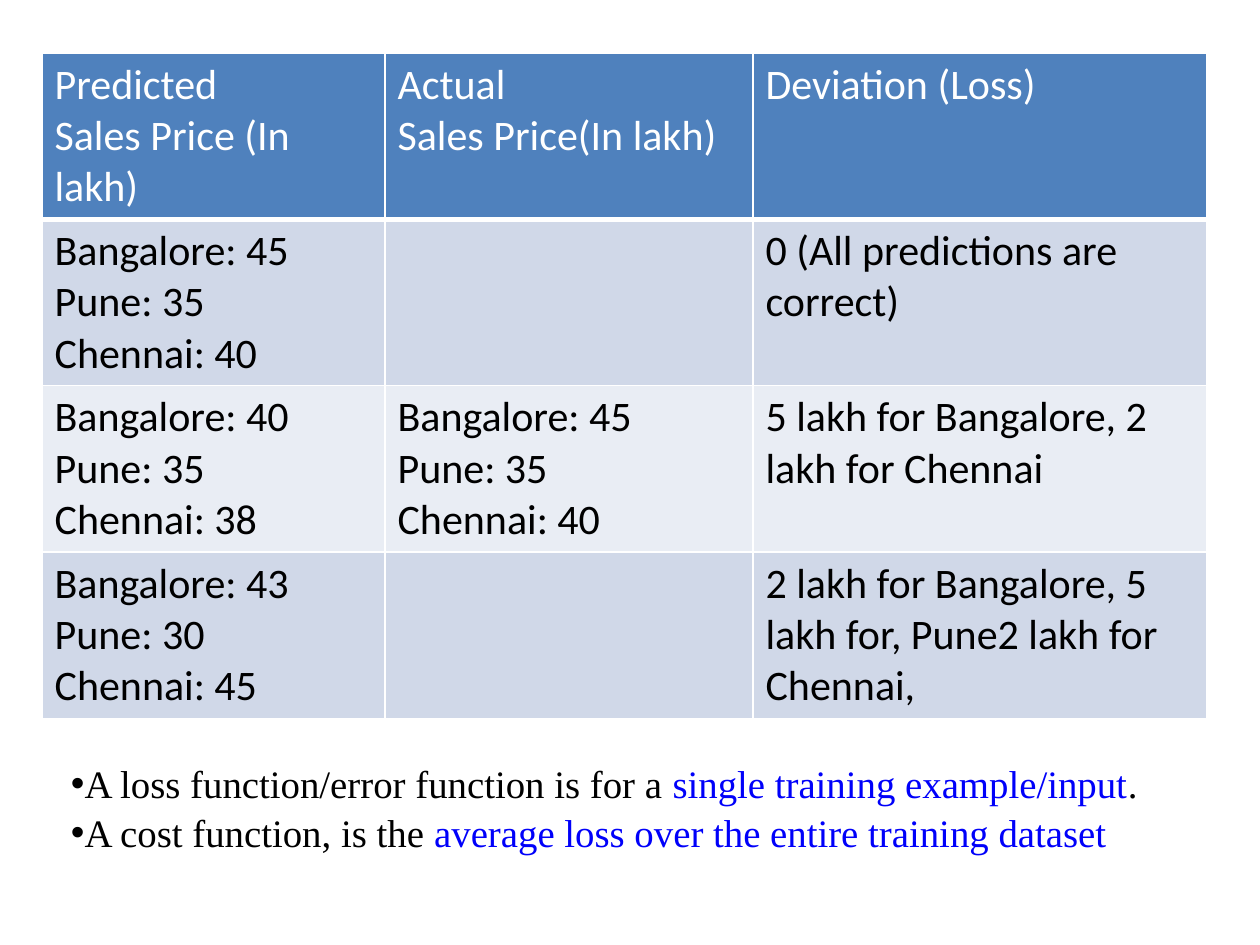
from lxml import etree
from pptx import Presentation
from pptx import util as u
from pptx.dml.color import RGBColor
from pptx.enum import text
from pptx.oxml.ns import qn

PX = 914400 // 126
COLORS = {
    "header": "4F81BD",
    "band": "D0D8E8",
    "plain": "E9EDF4",
    "white": "FFFFFF",
    "black": "000000",
    "blue": "0000FA",
}
COLUMN_WIDTHS = [343, 368, 454]
ROW_HEIGHT = 166
ACTUAL = ["Bangalore: 45", "Pune: 35", "Chennai: 40"]
ROWS = [
    [["Predicted", "Sales Price (In lakh)"],
     ["Actual", "Sales Price(In lakh)"],
     ["Deviation (Loss)"]],
    [ACTUAL, [], ["0 (All predictions are correct)"]],
    [["Bangalore: 40", "Pune: 35", "Chennai: 38"], ACTUAL,
     ["5 lakh for Bangalore, 2 lakh for Chennai"]],
    [["Bangalore: 43", "Pune: 30", "Chennai: 45"], [],
     ["2 lakh for Bangalore, 5 lakh for, Pune2 lakh for Chennai,"]],
]
NOTES = [
    [("A loss function/error function is for a ", "black"),
     ("single training example/input", "blue"), (".", "black")],
    [("A cost function, is the ", "black"),
     ("average loss over the entire training dataset", "blue")],
]


def px(length):
    return u.Emu(length * PX)


def rgb(name):
    return RGBColor.from_string(COLORS[name])


def add_span(para, words, font, size, color):
    span = para.add_run()
    span.text = words
    span.font.name = font
    span.font.size = u.Pt(size)
    span.font.bold = False
    span.font.color.rgb = rgb(color)


def paragraphs(frame, count):
    """Return count paragraphs, beginning with the one the frame already has."""
    return [frame.paragraphs[0]] + [frame.add_paragraph() for _ in range(count - 1)]


def add_solid_fill(parent, color):
    fill = etree.SubElement(parent, qn("a:solidFill"))
    etree.SubElement(fill, qn("a:srgbClr"), val=COLORS[color])


def set_borders(cell, bottom):
    """Draw white borders; they must come before the fill in the cell's XML."""
    properties = cell._tc.get_or_add_tcPr()
    for side, width in (("L", 1), ("R", 1), ("T", 1), ("B", bottom)):
        line = etree.SubElement(properties, qn(f"a:ln{side}"), w=str(u.Pt(width)))
        add_solid_fill(line, "white")


def fill_cell(cell, lines, fill, color, bottom):
    set_borders(cell, bottom)
    cell.fill.solid()
    cell.fill.fore_color.rgb = rgb(fill)
    if not lines:
        return
    for para, line in zip(paragraphs(cell.text_frame, len(lines)), lines):
        add_span(para, line, "Calibri", 24, color)


def add_price_table(page):
    table = page.shapes.add_table(
        len(ROWS), len(COLUMN_WIDTHS), px(42), px(53),
        px(sum(COLUMN_WIDTHS)), px(ROW_HEIGHT * len(ROWS))).table
    for column, width in zip(table.columns, COLUMN_WIDTHS):
        column.width = px(width)
    for i, row in enumerate(ROWS):
        table.rows[i].height = px(ROW_HEIGHT)
        fill = "header" if i == 0 else "band" if i % 2 else "plain"
        color, bottom = ("white", 3) if i == 0 else ("black", 1)
        for j, lines in enumerate(row):
            fill_cell(table.cell(i, j), lines, fill, color, bottom)


def set_bullet(para):
    properties = para._p.get_or_add_pPr()
    properties.set("marL", "0")
    properties.set("indent", str(-px(48)))
    color = etree.SubElement(properties, qn("a:buClr"))
    etree.SubElement(color, qn("a:srgbClr"), val=COLORS["black"])
    etree.SubElement(properties, qn("a:buChar"), char="•")


def write_notes(box):
    box.left, box.top, box.width, box.height = px(63), px(756), px(1165), px(179)
    frame = box.text_frame
    frame.word_wrap = True
    frame.auto_size = text.MSO_AUTO_SIZE.NONE
    frame.vertical_anchor = text.MSO_ANCHOR.TOP
    frame.margin_left = frame.margin_right = px(8)
    frame.margin_top = frame.margin_bottom = px(4)
    for para, spans in zip(paragraphs(frame, len(NOTES)), NOTES):
        para.space_before = u.Pt(1)
        set_bullet(para)
        for words, color in spans:
            add_span(para, words, "Times New Roman", 22.2, color)


def main():
    deck = Presentation()
    deck.slide_width, deck.slide_height = px(1260), px(945)
    page = deck.slides.add_slide(deck.slide_layouts[1])
    title = page.shapes.title.element
    title.getparent().remove(title)
    write_notes(page.placeholders[1])
    add_price_table(page)
    deck.save("out.pptx")


if __name__ == "__main__":
    main()
